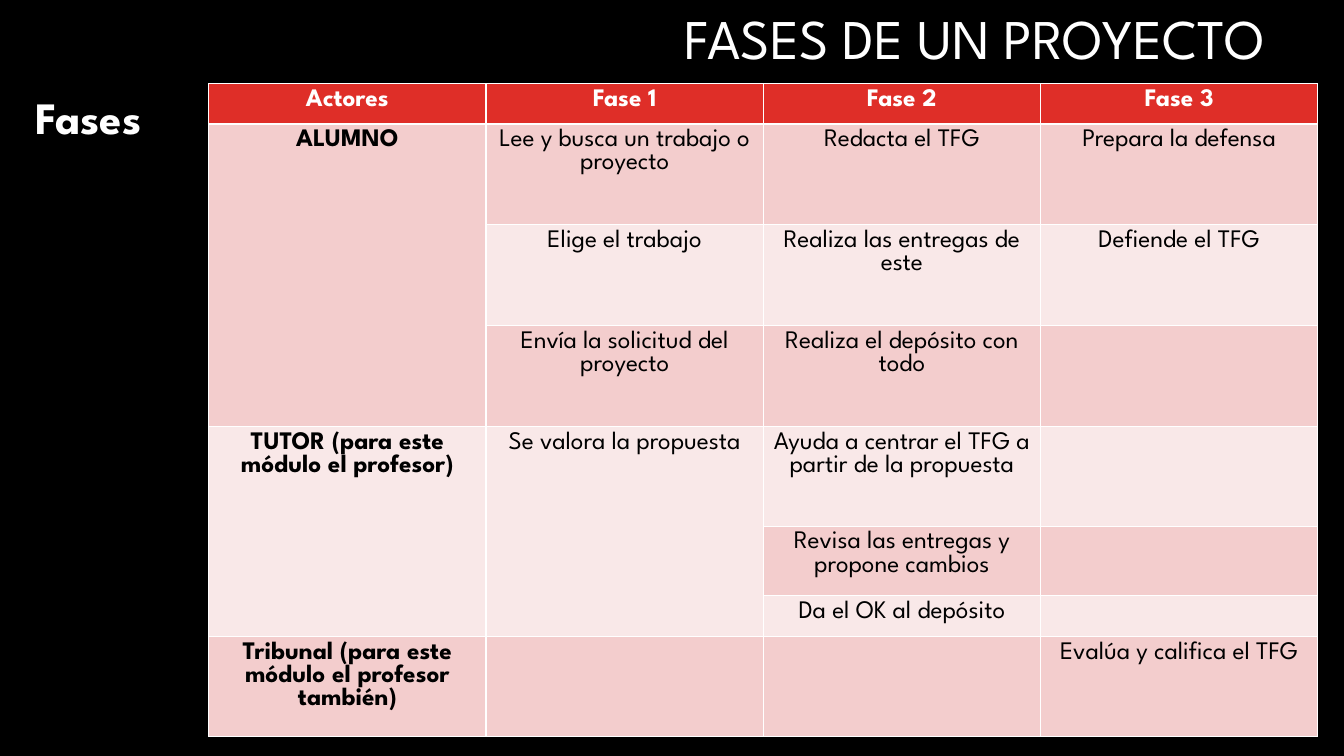
from pptx import Presentation
from pptx.dml.color import RGBColor
from pptx.enum.text import MSO_ANCHOR as Anchor, MSO_AUTO_SIZE as AutoSize, PP_ALIGN as Align
from pptx.oxml.xmlchemy import OxmlElement
from pptx.util import Inches, Pt


def color(value):
    return RGBColor.from_string(value)


def write(paragraph, text, shade, paragraph_format, font_format):
    run = paragraph.add_run()
    run.text = text
    for target, values in ((paragraph, paragraph_format), (run.font, font_format)):
        for name, value in values.items():
            setattr(target, name, value)
    run.font.name = "League Spartan"
    run.font.color.rgb = color(shade)


BLACK, WHITE, RED = "000000", "FFFFFF", "DF2E28"
BANDS = ["F9E8E8", "F3CDCD"]

presentation = Presentation()
presentation.slide_width, presentation.slide_height = Inches(13.33), Inches(7.5)
slide = presentation.slides.add_slide(presentation.slide_layouts[1])
slide.background.fill.solid()
slide.background.fill.fore_color.rgb = color(BLACK)

title, body = slide.shapes.title, slide.placeholders[1]
headings = [
    (title, "FASES DE UN PROYECTO", (5.87, 0, 6.77, 0.83), Anchor.MIDDLE,
     {"alignment": Align.RIGHT, "line_spacing": 0.9}, {"size": Pt(40)}),
    (body, "Fases", (0.25, 0.9, 2.09, 0.73), Anchor.TOP,
     {"alignment": Align.LEFT, "line_spacing": 0.9, "space_before": Pt(10)},
     {"size": Pt(32), "bold": True}),
]
for shape, text, box, anchor, paragraph_format, font_format in headings:
    for name, length in zip(("left", "top", "width", "height"), box):
        setattr(shape, name, Inches(length))
    frame_format = {"vertical_anchor": anchor, "word_wrap": True, "auto_size": AutoSize.NONE}
    for name, value in frame_format.items():
        setattr(shape.text_frame, name, value)
    write(shape.text_frame.paragraphs[0], text, WHITE, paragraph_format, font_format)

body_properties = body.text_frame.paragraphs[0]._p.get_or_add_pPr()
body_properties.set("marL", "0")
body_properties.set("indent", "0")
body_properties.append(OxmlElement("a:buNone"))

phases = [
    ["Actores", "Fase 1", "Fase 2", "Fase 3"],
    ["ALUMNO", "Lee y busca un trabajo o proyecto", "Redacta el TFG", "Prepara la defensa"],
    ["", "Elige el trabajo", "Realiza las entregas de este", "Defiende el TFG"],
    ["", "Envía la solicitud del proyecto", "Realiza el depósito con todo", ""],
    ["TUTOR (para este módulo el profesor)", "Se valora la propuesta",
     "Ayuda a centrar el TFG a partir de la propuesta", ""],
    ["", "", "Revisa las entregas y propone cambios", ""],
    ["", "", "Da el OK al depósito", ""],
    ["Tribunal (para este módulo el profesor también)", "", "", "Evalúa y califica el TFG"],
]
row_heights = [0.4, 1, 1, 1, 0.99, 0.69, 0.4, 0.99]
column_width = 2.75
merges = [(1, 3, 0), (4, 6, 0), (4, 6, 1)]

table = slide.shapes.add_table(
    len(phases), len(phases[0]), Inches(2.07), Inches(0.83),
    Inches(column_width * len(phases[0])), Inches(sum(row_heights))).table
for column in table.columns:
    column.width = Inches(column_width)
for row, height in zip(table.rows, row_heights):
    row.height = Inches(height)
for first, last, column in merges:
    table.cell(first, column).merge(table.cell(last, column))

for row, texts in enumerate(phases):
    for column, text in enumerate(texts):
        cell = table.cell(row, column)
        cell.fill.solid()
        cell.fill.fore_color.rgb = color(BANDS[row % 2] if row else RED)
        if text:
            write(cell.text_frame.paragraphs[0], text, BLACK if row else WHITE,
                  {"alignment": Align.CENTER},
                  {"size": Pt(18), "bold": row == 0 or column == 0})

presentation.save("out.pptx")
